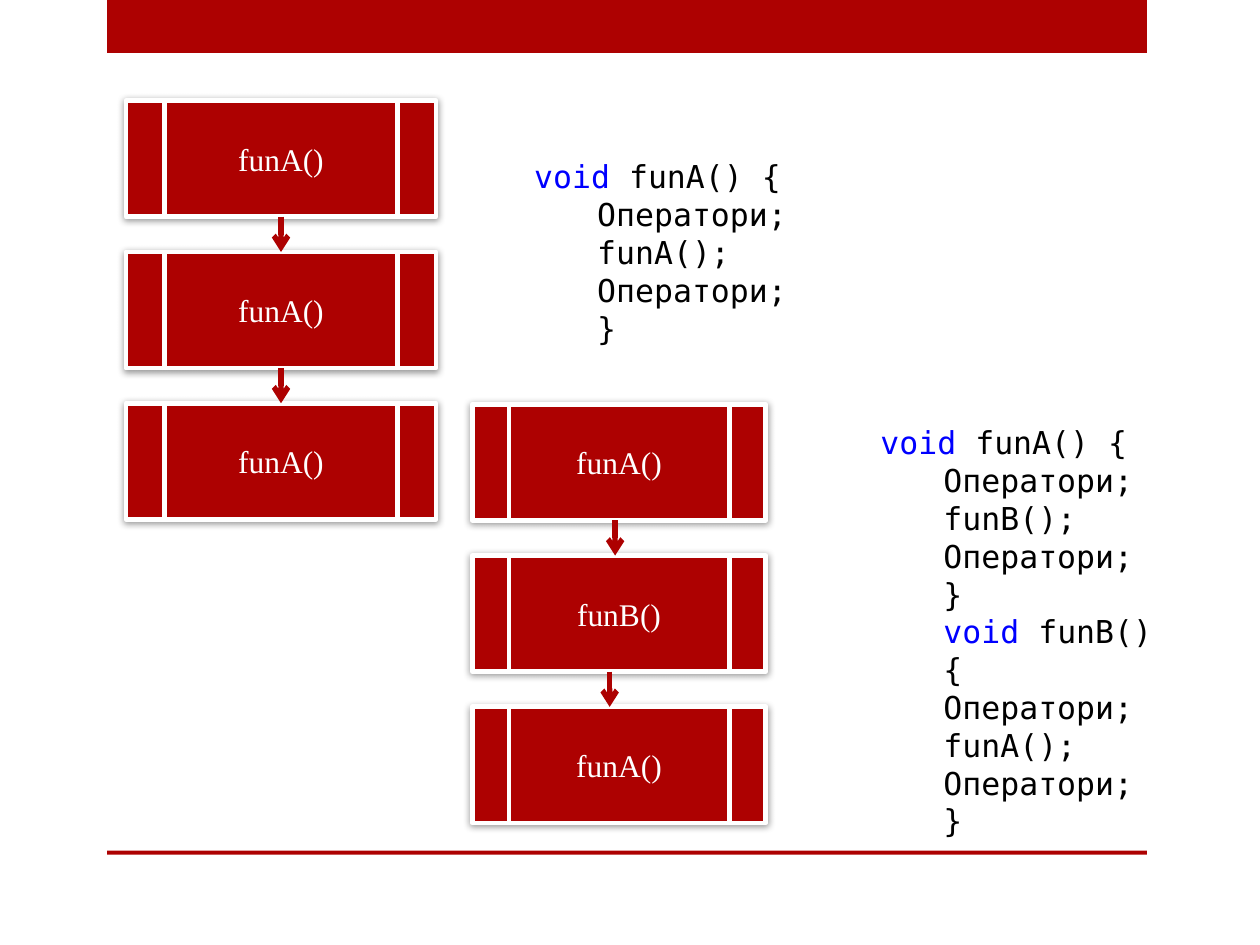
from dataclasses import dataclass

from pptx import Presentation
from pptx.dml.color import RGBColor
from pptx.enum.shapes import MSO_CONNECTOR, MSO_SHAPE
from pptx.enum.text import MSO_ANCHOR, PP_ALIGN
from pptx.oxml import parse_xml
from pptx.oxml.ns import nsdecls, qn
from pptx.util import Cm, Pt

RECT = MSO_SHAPE.RECTANGLE
CALL = MSO_SHAPE.FLOWCHART_PREDEFINED_PROCESS
STRAIGHT = MSO_CONNECTOR.STRAIGHT
CENTER = PP_ALIGN.CENTER
MIDDLE = MSO_ANCHOR.MIDDLE
TOP, BOTTOM = 0, 2

COLORS = {"red": "AD0101", "white": "FFFFFF", "blue": "0000FF", "black": "000000"}
SERIF, MONO = "Times New Roman", "DejaVu Sans Mono"
BOX_H, STEP = 2.34, 3.05


@dataclass
class Chain:
    """A column of calls; arrows holds x values, or None to join box middles."""
    left: float
    top: float
    width: float
    names: list[str]
    arrows: list[float | None]


@dataclass
class Code:
    left: float
    top: float
    width: float
    height: float
    lines: list[str]


BARS = [(0, 1.07), (17.15, 0.08)]
CHAINS = [
    Chain(2.54, 2.03, 6.25, ["funA()"] * 3, [None, None]),
    Chain(9.52, 8.15, 5.92, ["funA()", "funB()", "funA()"], [12.4, 12.29]),
]


def body(name: str, call: str) -> list[str]:
    return [f"void {name}() {{", "Оператори;", f"{call}();", "Оператори;", "}"]


CODES = [
    Code(10.52, 3.05, 8.05, 4.11, body("funA", "funA")),
    Code(17.5, 8.41, 6.65, 7.95, body("funA", "funB") + body("funB", "funA")),
]


def color(name: str) -> RGBColor:
    return RGBColor.from_string(COLORS[name])


def style(run, font: str, tint: str) -> None:
    run.font.name = font
    run.font.size = Pt(18)
    run.font.color.rgb = color(tint)


def add_bar(shapes, top: float, height: float) -> None:
    bar = shapes.add_shape(RECT, Cm(2.16), Cm(top), Cm(20.96), Cm(height))
    bar.shadow.inherit = False
    bar.fill.solid()
    bar.fill.fore_color.rgb = color("red")
    bar.line.fill.background()


def add_call(shapes, left: float, top: float, width: float, name: str):
    box = shapes.add_shape(CALL, Cm(left), Cm(top), Cm(width), Cm(BOX_H))
    box.fill.solid()
    box.fill.fore_color.rgb = color("red")
    box.line.color.rgb = color("white")
    box.line.width = Pt(2.75)
    box.shadow.inherit = False
    box._element.spPr.find(qn("a:effectLst")).append(parse_xml(
        f'<a:outerShdw {nsdecls("a")} blurRad="50800" dist="12700" dir="5280000">'
        '<a:srgbClr val="000000"><a:alpha val="40000"/></a:srgbClr></a:outerShdw>'))
    frame = box.text_frame
    frame.text = name
    frame.vertical_anchor = MIDDLE
    frame.paragraphs[0].alignment = CENTER
    style(frame.paragraphs[0].runs[0], SERIF, "white")
    return box


def add_arrow(shapes, upper, lower, x: float | None) -> None:
    mid = upper.left + upper.width // 2 if x is None else Cm(x)
    arrow = shapes.add_connector(
        STRAIGHT, mid, upper.top + upper.height, mid, lower.top)
    if x is None:
        arrow.begin_connect(upper, BOTTOM)
        arrow.end_connect(lower, TOP)
    arrow.line.color.rgb = color("red")
    arrow.line.width = Pt(3)
    props = arrow._element.spPr
    props.find(qn("a:ln")).append(
        parse_xml(f'<a:tailEnd {nsdecls("a")} type="arrow"/>'))
    props.append(parse_xml(f'<a:effectLst {nsdecls("a")}/>'))


def add_chain(shapes, chain: Chain) -> None:
    group = shapes.add_group_shape().shapes
    boxes = [add_call(group, chain.left, chain.top + i * STEP, chain.width, name)
             for i, name in enumerate(chain.names)]
    for upper, lower, x in zip(boxes, boxes[1:], chain.arrows):
        add_arrow(group, upper, lower, x)


def add_code(shapes, code: Code) -> None:
    """Write the lines, all but the first indented, with the keyword in blue."""
    frame = shapes.add_textbox(
        Cm(code.left), Cm(code.top), Cm(code.width), Cm(code.height)).text_frame
    frame.word_wrap = True
    frame.text = "\n".join(code.lines)
    for i, par in enumerate(frame.paragraphs):
        par.level = min(i, 1)
        par.line_spacing = Pt(21.6)
        first = par.runs[0]
        word, gap, rest = first.text.partition(" ")
        if gap:
            first.text = word + gap
            par.add_run().text = rest
        for run in par.runs:
            style(run, MONO, "black")
        if gap:
            first.font.color.rgb = color("blue")


def main() -> None:
    deck = Presentation()
    deck.slide_width, deck.slide_height = Cm(25.4), Cm(19.05)
    shapes = deck.slides.add_slide(deck.slide_layouts[6]).shapes
    for top, height in BARS:
        add_bar(shapes, top, height)
    for chain in CHAINS:
        add_chain(shapes, chain)
    for code in CODES:
        add_code(shapes, code)
    deck.save("out.pptx")


if __name__ == "__main__":
    main()
